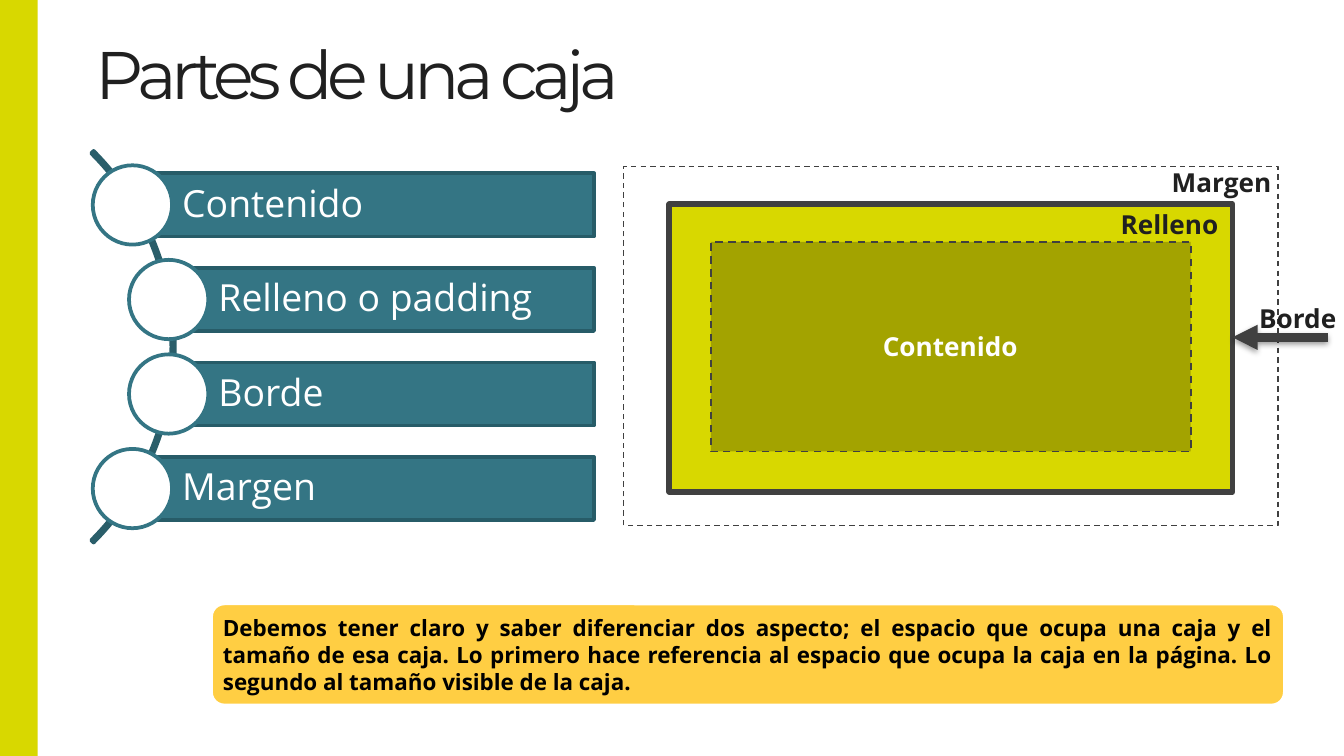
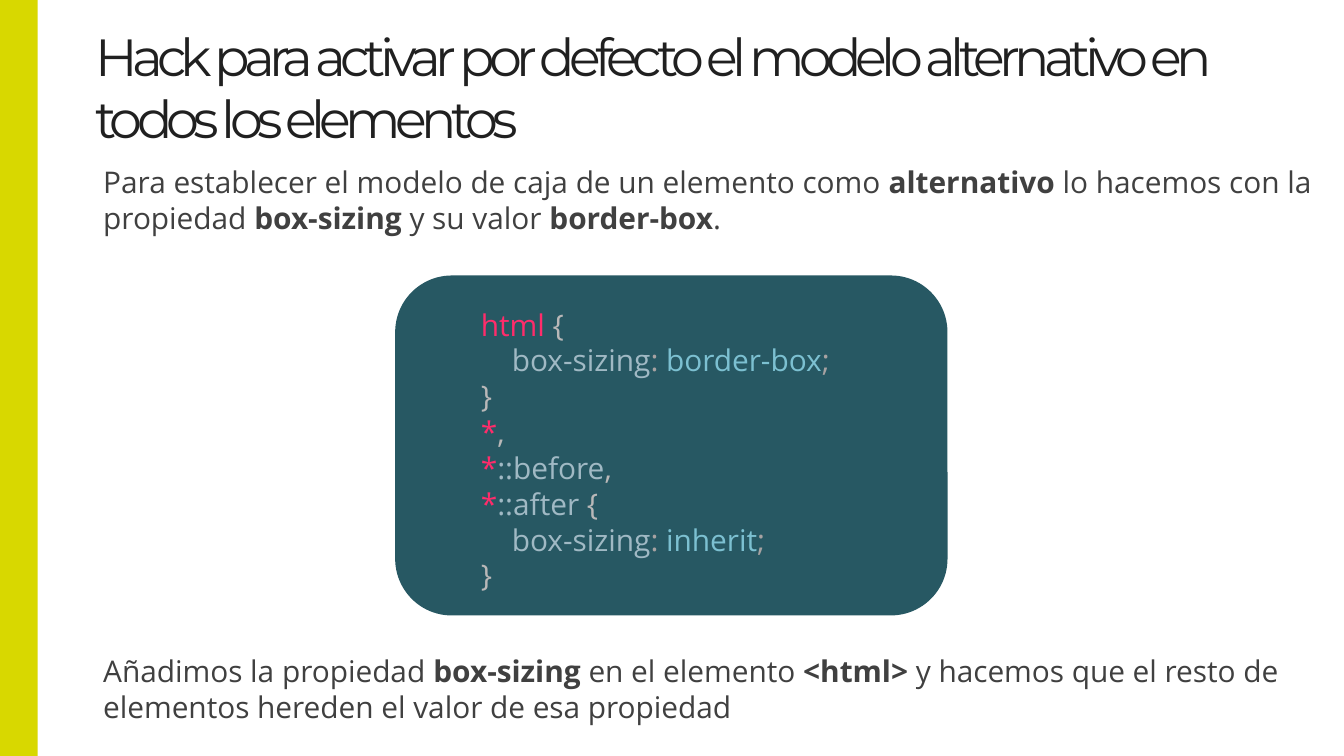
from lxml.etree import SubElement
from pptx import Presentation
from pptx.dml.color import RGBColor
from pptx.enum.dml import MSO_LINE
from pptx.enum.shapes import MSO_CONNECTOR, MSO_SHAPE
from pptx.enum.text import MSO_ANCHOR, MSO_AUTO_SIZE, PP_ALIGN
from pptx.oxml.ns import qn
from pptx.util import Inches, Pt

LIME = RGBColor(0xD8, 0xD8, 0x00)
OLIVE = RGBColor(0xA3, 0xA3, 0x00)
TEAL = RGBColor(0x34, 0x75, 0x84)
DARK_TEAL = RGBColor(0x27, 0x5C, 0x68)
ARC_TEAL = RGBColor(0x2A, 0x5E, 0x6A)
CODE_BACK = RGBColor(0x27, 0x58, 0x63)
AMBER = RGBColor(0xFF, 0xCE, 0x43)
INK = RGBColor(0x20, 0x20, 0x20)
GRAY = RGBColor(0x40, 0x40, 0x40)
WHITE = RGBColor(0xFF, 0xFF, 0xFF)
BLACK = RGBColor(0x00, 0x00, 0x00)
INDENT = RGBColor(0xE6, 0xE6, 0xE6)
SELECTOR = RGBColor(0xFF, 0x2C, 0x6B)
BRACE = RGBColor(0xB9, 0xB8, 0xB8)
PROPERTY = RGBColor(0xA0, 0xB9, 0xC4)
MARK = RGBColor(0xA7, 0xA2, 0xA2)
VALUE = RGBColor(0x7C, 0xC0, 0xD1)

TITLE_FONT = "Montserrat"
BODY_FONT = "Open Sans"
WIDTH = 10
HEIGHT = WIDTH * 9 / 16

BOX_PARTS = [("Contenido", 0), ("Relleno o padding", 0.27), ("Borde", 0.27), ("Margen", 0)]
NOTE = (
    "Debemos tener claro y saber diferenciar dos aspecto; el espacio que ocupa una caja "
    "y el tamaño de esa caja. Lo primero hace referencia al espacio que ocupa la caja en "
    "la página. Lo segundo al tamaño visible de la caja."
)
INTRO = [
    ("Para establecer el modelo de caja de un elemento como ", False),
    ("alternativo", True),
    (" lo hacemos con la propiedad ", False),
    ("box-sizing", True),
    (" y su valor ", False),
    ("border-box", True),
    (".", False),
]
OUTRO = [
    ("Añadimos la propiedad", False),
    (" box-sizing ", True),
    ("en el elemento ", False),
    ("<html> ", True),
    ("y hacemos que el resto de elementos hereden el valor de esa propiedad", False),
]


def declaration(value):
    return [("    ", INDENT), ("box-sizing", PROPERTY), (": ", MARK), (value, VALUE), (";", MARK)]


CODE = [
    [("html ", SELECTOR), ("{", BRACE)],
    declaration("border-box"),
    [("}", BRACE)],
    [("*", SELECTOR), (",", BRACE)],
    [("*", SELECTOR), ("::before", PROPERTY), (",", BRACE)],
    [("*", SELECTOR), ("::after ", PROPERTY), ("{", BRACE)],
    declaration("inherit"),
    [("}", BRACE)],
]


def add_box(slide, kind, left, top, width, height, fill=None, line=None, weight=1, dash=False):
    shape = slide.shapes.add_shape(kind, Inches(left), Inches(top), Inches(width), Inches(height))
    shape.shadow.inherit = False
    if fill is None:
        shape.fill.background()
    else:
        shape.fill.solid()
        shape.fill.fore_color.rgb = fill
    if line is None:
        shape.line.fill.background()
    else:
        shape.line.color.rgb = line
        shape.line.width = Pt(weight)
        if dash:
            shape.line.dash_style = MSO_LINE.DASH
    return shape


def add_run(paragraph, text, size, color, bold=False, font=BODY_FONT):
    run = paragraph.add_run()
    run.text = text
    run.font.name = font
    run.font.size = Pt(size)
    run.font.bold = bold
    run.font.color.rgb = color
    return run


def set_margins(frame, left, top, right, bottom):
    frame.margin_left, frame.margin_top = Inches(left), Inches(top)
    frame.margin_right, frame.margin_bottom = Inches(right), Inches(bottom)


def add_text(slide, left, top, width, height, wrap=True):
    box = slide.shapes.add_textbox(Inches(left), Inches(top), Inches(width), Inches(height))
    frame = box.text_frame
    frame.word_wrap = wrap
    frame.auto_size = MSO_AUTO_SIZE.SHAPE_TO_FIT_TEXT
    return frame


def add_label(slide, text, left, top, width, color=INK, wrap=True):
    frame = add_text(slide, left, top, width, 0.34, wrap)
    add_run(frame.paragraphs[0], text, 14, color, bold=True)


def add_base(presentation, title, size, title_top):
    slide = presentation.slides.add_slide(presentation.slide_layouts[6])
    frame = add_text(slide, 0.71, title_top, 9.02, 0.89)
    frame.auto_size = MSO_AUTO_SIZE.NONE
    frame.vertical_anchor = MSO_ANCHOR.BOTTOM
    set_margins(frame, 0, 0.05, 0.1, 0.05)
    run = add_run(frame.paragraphs[0], title, size, INK, font=TITLE_FONT)
    run.font._element.set("spc", "-300")
    add_box(slide, MSO_SHAPE.RECTANGLE, 0, 0, 0.28, HEIGHT, LIME)
    return slide


def add_part_list(slide, left, top, width, height):
    bar_height, diameter = 0.47, 0.59
    pitch = (height - diameter) / (len(BOX_PARTS) - 1)
    arc = add_box(slide, MSO_SHAPE.BLOCK_ARC, left - 3.51, top - 0.71, 4.12, 4.12,
                  line=ARC_TEAL, weight=2)
    for index, value in enumerate((189, 27, 0.006)):
        arc.adjustments[index] = value
    for index, (name, indent) in enumerate(BOX_PARTS):
        circle_left, circle_top = left + indent, top + index * pitch
        bar_left = circle_left + diameter / 2
        bar = add_box(slide, MSO_SHAPE.RECTANGLE, bar_left,
                      circle_top + (diameter - bar_height) / 2,
                      left + width - bar_left, bar_height, TEAL, DARK_TEAL, 2)
        frame = bar.text_frame
        frame.vertical_anchor = MSO_ANCHOR.MIDDLE
        set_margins(frame, 0.37, 0.06, 0.06, 0.06)
        paragraph = frame.paragraphs[0]
        paragraph.alignment = PP_ALIGN.LEFT
        paragraph.line_spacing = 0.9
        add_run(paragraph, name, 20, WHITE)
        add_box(slide, MSO_SHAPE.OVAL, circle_left, circle_top, diameter, diameter, WHITE, TEAL, 2)


def add_border_arrow(slide, start, end, y):
    arrow = slide.shapes.add_connector(
        MSO_CONNECTOR.STRAIGHT, Inches(start), Inches(y), Inches(end), Inches(y))
    arrow.line.color.rgb = GRAY
    arrow.line.width = Pt(4.5)
    SubElement(arrow.line._get_or_add_ln(), qn("a:tailEnd"), type="triangle")
    effects = SubElement(arrow._element.spPr, qn("a:effectLst"))
    shadow = SubElement(effects, qn("a:outerShdw"), blurRad=str(Pt(3.1)), dist=str(Pt(1.6)),
                        dir="5400000", rotWithShape="0")
    color = SubElement(shadow, qn("a:srgbClr"), val="000000")
    SubElement(color, qn("a:alpha"), val="38000")


def add_box_model(slide, left, top):
    add_box(slide, MSO_SHAPE.RECTANGLE, left, top, 4.87, 2.67, WHITE, GRAY, 0.75, dash=True)
    add_box(slide, MSO_SHAPE.RECTANGLE, left + 0.34, top + 0.28, 4.19, 2.14, LIME, GRAY, 3)
    add_label(slide, "Relleno", left + 3.6, top + 0.26, 0.93, wrap=False)
    add_box(slide, MSO_SHAPE.RECTANGLE, left + 0.65, top + 0.56, 3.57, 1.56, OLIVE, GRAY, 1, dash=True)
    add_label(slide, "Contenido", left + 1.83, top + 1.17, 1.21, WHITE, wrap=False)
    add_label(slide, "Margen", left + 3.98, top - 0.05, 1.04)
    add_label(slide, "Borde", left + 4.63, top + 0.96, 0.83)
    add_border_arrow(slide, left + 5.24, left + 4.53, top + 1.27)


def add_note(slide, left, top, width, height):
    note = add_box(slide, MSO_SHAPE.ROUNDED_RECTANGLE, left, top, width, height, AMBER, WHITE, 2)
    note.adjustments[0] = 0.13
    frame = note.text_frame
    frame.vertical_anchor = MSO_ANCHOR.MIDDLE
    set_margins(frame, 0.06, 0.06, 0.06, 0.06)
    paragraph = frame.paragraphs[0]
    paragraph.alignment = PP_ALIGN.JUSTIFY
    add_run(paragraph, NOTE, 12, BLACK, bold=True)


def add_explanation(slide, top, parts):
    paragraph = add_text(slide, 0.67, top, 9.27, 0.64).paragraphs[0]
    for text, bold in parts:
        add_run(paragraph, text, 16, GRAY, bold)


def add_code_panel(slide, left, top, width, height):
    add_box(slide, MSO_SHAPE.ROUNDED_RECTANGLE, left, top, width, height, CODE_BACK)
    frame = add_text(slide, left + 0.54, top + 0.18, width - 1.07, height - 0.27)
    for index, line in enumerate(CODE):
        paragraph = frame.add_paragraph() if index else frame.paragraphs[0]
        for text, color in line:
            add_run(paragraph, text, 16, color)


def build_parts_slide(presentation):
    slide = add_base(presentation, "Partes de una caja", 36, 0)
    add_part_list(slide, 0.69, 1.23, 3.73, 2.7)
    add_note(slide, 1.57, 4.49, 7.99, 0.76)
    add_box_model(slide, 4.64, 1.24)


def build_hack_slide(presentation):
    title = "Hack para activar por defecto el modelo alternativo en todos los elementos"
    slide = add_base(presentation, title, 28, 0.27)
    add_code_panel(slide, 2.94, 2.05, 4.11, 2.53)
    add_explanation(slide, 1.17, INTRO)
    add_explanation(slide, 4.81, OUTRO)


def main():
    presentation = Presentation()
    presentation.slide_width = Inches(WIDTH)
    presentation.slide_height = Inches(HEIGHT)
    build_parts_slide(presentation)
    build_hack_slide(presentation)
    presentation.save("out.pptx")


if __name__ == "__main__":
    main()
